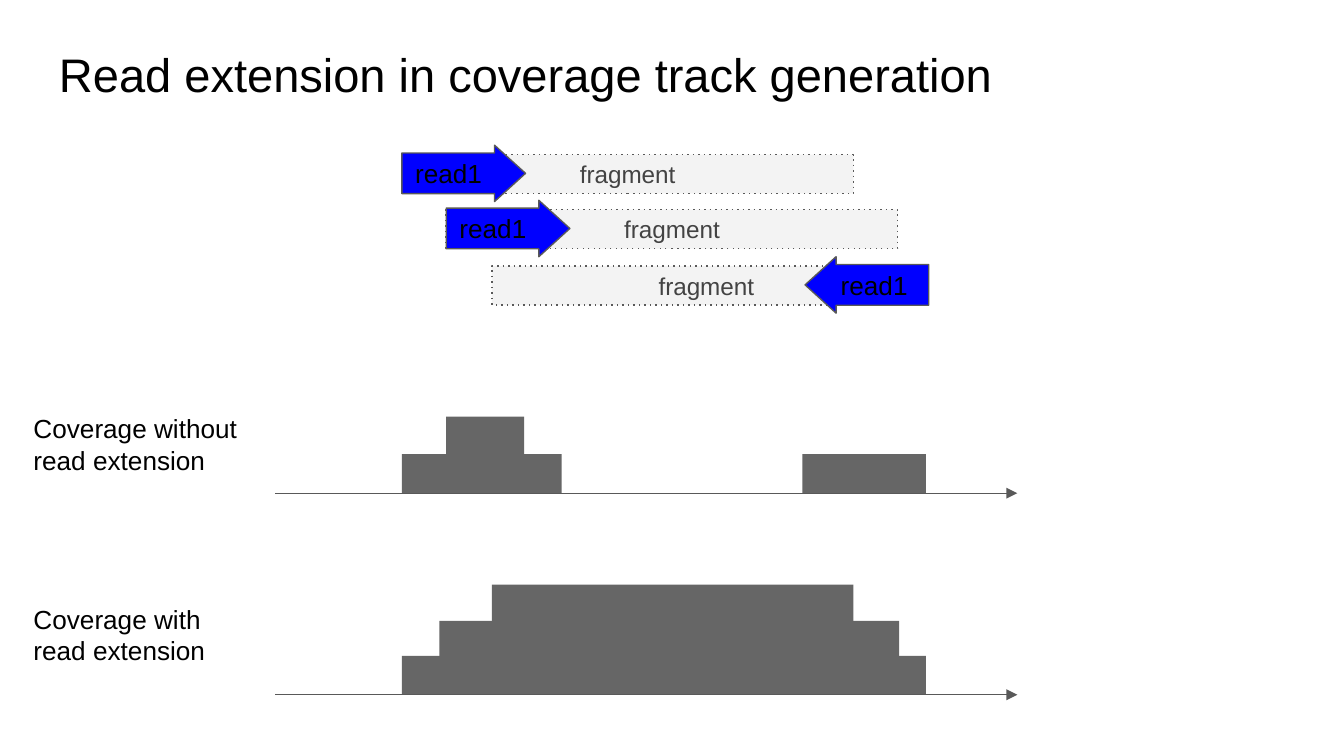
import dataclasses

import pptx
import pptx.dml.color
import pptx.enum.shapes
import pptx.enum.text
import pptx.oxml.ns
import pptx.util
from lxml import etree

Inches = pptx.util.Inches
MSO_SHAPE = pptx.enum.shapes.MSO_SHAPE
MSO_ANCHOR = pptx.enum.text.MSO_ANCHOR
PP_ALIGN = pptx.enum.text.PP_ALIGN
qn = pptx.oxml.ns.qn


@dataclasses.dataclass(frozen=True)
class Theme:
    font: str = "Arial"
    ink: str = "000000"
    fragment_ink: str = "434343"
    fragment: str = "F3F3F3"
    read: str = "0000FF"
    bar: str = "666666"
    line: str = "595959"
    title_pt: float = 25.2
    body_pt: float = 14
    fragment_pt: float = 13
    line_pt: float = 0.75


THEME = Theme()
READ_W, READ_H = 0.92, 0.42
BAR_H = 0.29


def rgb(value):
    return pptx.dml.color.RGBColor.from_string(value)


def write(sp, lines, size, color, align=PP_ALIGN.LEFT, anchor=MSO_ANCHOR.TOP):
    tf = sp.text_frame
    tf.word_wrap = True
    tf.vertical_anchor = anchor
    tf.margin_left = tf.margin_top = tf.margin_right = tf.margin_bottom = Inches(0.1)
    for i, line in enumerate(lines):
        p = tf.add_paragraph() if i else tf.paragraphs[0]
        p.alignment = align
        r = p.add_run()
        r.text = line
        r.font.name = THEME.font
        r.font.size = pptx.util.Pt(size)
        r.font.color.rgb = rgb(color)


def add_text(s, box, lines, size):
    sp = s.shapes.add_textbox(*map(Inches, box))
    write(sp, lines, size, THEME.ink)


def add_block(s, kind, box, fill, outlined=False):
    sp = s.shapes.add_shape(kind, *map(Inches, box))
    sp.shadow.inherit = False
    sp.fill.solid()
    sp.fill.fore_color.rgb = rgb(fill)
    if outlined:
        sp.line.color.rgb = rgb(THEME.line)
        sp.line.width = pptx.util.Pt(THEME.line_pt)
    else:
        sp.line.fill.background()
    return sp


def add_axis(s, x, y, w):
    axis = s.shapes.add_connector(
        pptx.enum.shapes.MSO_CONNECTOR.STRAIGHT,
        Inches(x), Inches(y), Inches(x + w), Inches(y))
    axis.line.color.rgb = rgb(THEME.line)
    axis.line.width = pptx.util.Pt(THEME.line_pt)
    sp_pr = axis._element.spPr
    etree.SubElement(sp_pr.find(qn("a:ln")), qn("a:tailEnd"), type="triangle")
    etree.SubElement(sp_pr, qn("a:effectLst"))


def add_fragment(s, x, y, w, read_dx, reverse):
    sp = add_block(s, MSO_SHAPE.RECTANGLE, (x, y + 0.07, w, BAR_H), THEME.fragment, True)
    etree.SubElement(sp._element.spPr.find(qn("a:ln")), qn("a:prstDash"), val="dot")
    write(sp, ["fragment"], THEME.fragment_pt, THEME.fragment_ink,
          PP_ALIGN.CENTER, MSO_ANCHOR.MIDDLE)

    kind = MSO_SHAPE.LEFT_ARROW if reverse else MSO_SHAPE.RIGHT_ARROW
    sp = add_block(s, kind, (x + read_dx, y, READ_W, READ_H), THEME.read, True)
    sp.adjustments[0], sp.adjustments[1] = 0.72, 0.55
    write(sp, ["read1"], THEME.body_pt, THEME.ink, anchor=MSO_ANCHOR.MIDDLE)


def add_fragments(s, x, y):
    rows = [(0, 0, 3.36, 0, False),
            (0.33, 0.41, 3.36, 0, False),
            (0.67, 0.83, 3.19, 2.33, True)]
    for dx, dy, w, read_dx, reverse in rows:
        add_fragment(s, x + dx, y + dy, w, read_dx, reverse)


def add_track(s, box, label, bars):
    x, y, w, h = box
    base = y + h
    for dx, rise, bar_w in bars:
        add_block(s, MSO_SHAPE.RECTANGLE, (x + dx, base - rise, bar_w, BAR_H), THEME.bar)
    add_axis(s, x + 1.9, base, w - 1.9)
    add_text(s, (x, y, 1.79, 0.67), label, THEME.body_pt)


def main():
    prs = pptx.Presentation()
    prs.slide_width = Inches(10)
    prs.slide_height = prs.slide_width * 9 // 16
    s = prs.slides.add_slide(prs.slide_layouts[6])
    add_text(s, (0.34, 0.24, 9.32, 0.63),
             ["Read extension in coverage track generation"], THEME.title_pt)
    add_fragments(s, 2.99, 1.08)
    add_track(s, (0.15, 2.97, 7.42, 0.7), ["Coverage without", "read extension"],
              [(2.84, 0.29, 0.92), (3.17, 0.57, 0.58),
               (3.17, 0.29, 0.86), (5.82, 0.29, 0.92)])
    add_track(s, (0.15, 4.39, 7.42, 0.78), ["Coverage with", "read extension"],
              [(2.84, 0.29, 1.25), (3.12, 0.55, 3.42),
               (3.51, 0.82, 2.69), (4.09, 0.29, 2.65)])
    prs.save("out.pptx")


if __name__ == "__main__":
    main()
